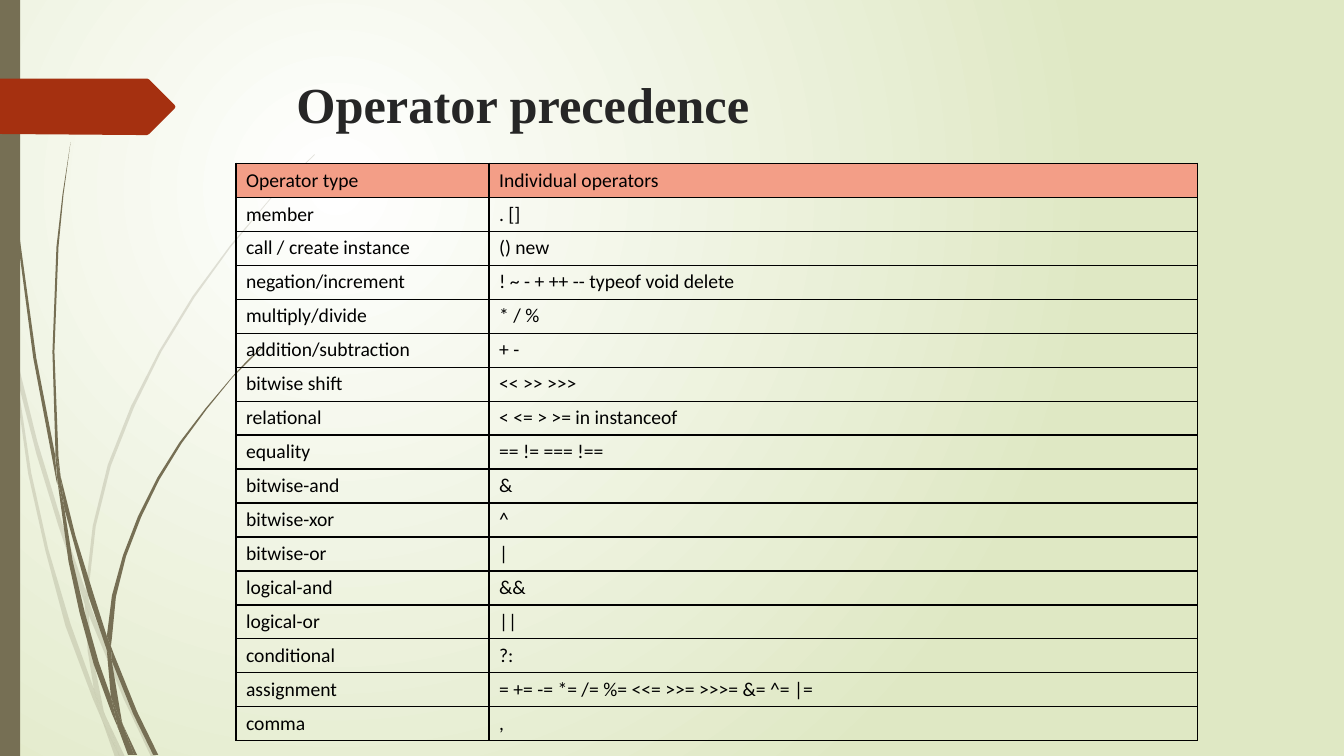
from lxml import etree
from pptx import Presentation
from pptx.dml.color import RGBColor
from pptx.enum import shapes, text
from pptx.oxml import ns
from pptx import util as u

WIDTH, HEIGHT = 13.33, 7.5
INK, OLIVE, RUST, SALMON = "000000", "766F54", "A53010", "F39E87"
TITLE = "Operator precedence"
TITLE_BOX = (2.84, 0.68, 9.75, 1.4)
TABLE_BOX = (2.34, 1.62, 9.54, 5.67)
COLUMN_WIDTHS = (2.51, 7.03)

OPERATORS = [
    ("Operator type", "Individual operators"),
    ("member", ". []"),
    ("call / create instance", "() new"),
    ("negation/increment", "! ~ - + ++ -- typeof void delete"),
    ("multiply/divide", "* / %"),
    ("addition/subtraction", "+ -"),
    ("bitwise shift", "<< >> >>>"),
    ("relational", "< <= > >= in instanceof"),
    ("equality", "== != === !=="),
    ("bitwise-and", "&"),
    ("bitwise-xor", "^"),
    ("bitwise-or", "|"),
    ("logical-and", "&&"),
    ("logical-or", "||"),
    ("conditional", "?:"),
    ("assignment", "= += -= *= /= %= <<= >>= >>>= &= ^= |="),
    ("comma", ","),
]

# Grass blades: outline points in inches, one blade section per tuple
FAINT_GRASS = [
    ((0.11, 3.5), (0.09, 3.22), (0, 2.82), (0, 2.99), (0.1, 3.44)),
    ((0.58, 5.22), (0.84, 5.99), (0.85, 5.86), (0.62, 5.2), (0.37, 4.38), (0.14, 3.45),
     (0.17, 3.76), (0.36, 4.5)),
    ((0.92, 6.07), (0.88, 5.96), (0.88, 6.1), (1.23, 6.94), (1.5, 7.51), (1.55, 7.51),
     (1.27, 6.92)),
    ((1.19, 7.51), (1.24, 7.51), (1.05, 7.11)),
    ((0.93, 6.83), (0.7, 6.19), (0.48, 5.45), (0.31, 4.69), (0.17, 3.76), (0.11, 3.5),
     (0.28, 4.7), (0.45, 5.46), (0.65, 6.21), (0.92, 6.93), (1.01, 7.14), (0.99, 7.07)),
    ((0.84, 5.99), (0.87, 6.46), (0.93, 6.83), (0.96, 6.92), (1.05, 7.11), (1.03, 7.06),
     (0.91, 6.46), (0.88, 6.1), (0.88, 6.08)),
    ((0.88, 5.84), (0.95, 5.22), (1.1, 4.62), (1.33, 4.04), (1.6, 3.49), (1.93, 2.95),
     (2.29, 2.45), (2.68, 1.98), (2.9, 1.75), (3.12, 1.54), (3.12, 1.53), (2.89, 1.75),
     (2.68, 1.97), (2.28, 2.44), (1.91, 2.94), (1.58, 3.48), (1.3, 4.03), (1.07, 4.61),
     (0.92, 5.22), (0.85, 5.84), (0.85, 5.86), (0.88, 5.96)),
    ((1.01, 7.14), (1.14, 7.51), (1.19, 7.51)),
    ((0.88, 6.08), (0.88, 6.1), (0.88, 5.96), (0.85, 5.86), (0.84, 5.99)),
    ((0.96, 6.92), (0.93, 6.83), (0.99, 7.07), (1.01, 7.14), (1.19, 7.51), (1.05, 7.11)),
]
SOLID_GRASS = [
    ((0.07, 1.1), (0.17, 2.33), (0.33, 3.55), (0.56, 4.77), (0.57, 4.81), (0.55, 4.57),
     (0.55, 4.53), (0.36, 3.55), (0.19, 2.32), (0.08, 1.09), (0.05, 0.48), (0.03, 0),
     (0.03, 0.48)),
    ((0.88, 5.92), (1.06, 6.45), (1.06, 6.31), (0.93, 5.9), (0.75, 5.32), (0.6, 4.72),
     (0.64, 5.05)),
    ((1.13, 6.49), (1.1, 6.41), (1.11, 6.56), (1.32, 7.08), (1.52, 7.49), (1.57, 7.49),
     (1.36, 7.06)),
    ((1.1, 6.91), (0.98, 6.57), (0.84, 6.07), (0.72, 5.56), (0.64, 5.05), (0.57, 4.77),
     (0.68, 5.57), (0.79, 6.08), (0.93, 6.59), (1.11, 7.08), (1.17, 7.22), (1.16, 7.17)),
    ((0.6, 4.72), (0.58, 4.53), (0.54, 3.49), (0.58, 2.45), (0.63, 1.93), (0.7, 1.41),
     (0.62, 1.93), (0.56, 2.45), (0.52, 3.49), (0.55, 4.49)),
    ((1.33, 7.49), (1.36, 7.49), (1.22, 7.19)),
    ((0.57, 4.77), (0.64, 5.05), (0.6, 4.72), (0.55, 4.49), (0.55, 4.53)),
    ((1.11, 6.33), (1.15, 5.92), (1.25, 5.52), (1.4, 5.13), (1.58, 4.76), (1.8, 4.4),
     (2.05, 4.06), (2.31, 3.74), (2.46, 3.59), (2.61, 3.44), (2.6, 3.44), (2.45, 3.58),
     (2.31, 3.73), (2.04, 4.05), (1.78, 4.39), (1.56, 4.74), (1.37, 5.12), (1.22, 5.51),
     (1.11, 5.91), (1.06, 6.31), (1.1, 6.41)),
    ((1.17, 7.22), (1.27, 7.49), (1.31, 7.49)),
    ((1.06, 6.45), (1.1, 6.91), (1.16, 7.06), (1.22, 7.19), (1.21, 7.16), (1.11, 6.56),
     (1.09, 6.51)),
    ((1.06, 6.45), (1.11, 6.56), (1.1, 6.41), (1.06, 6.31)),
    ((1.16, 7.06), (1.1, 6.91), (1.16, 7.17), (1.17, 7.22), (1.3, 7.49), (1.33, 7.49),
     (1.22, 7.19)),
]
ARROW = ((1.73, 1.08), (1.48, 1.33), (1.46, 1.34), (1.36, 1.34), (-0.01, 1.33), (0, 0.78),
         (1.46, 0.78), (1.48, 0.79), (1.73, 1.04), (1.74, 1.06))


def color(hex_value):
    return RGBColor.from_string(hex_value)


def inches(values):
    return [u.Inches(value) for value in values]


def paint(shape, hex_value, opacity=100):
    shape.shadow.inherit = False
    shape.line.fill.background()
    shape.fill.solid()
    shape.fill.fore_color.rgb = color(hex_value)
    if opacity < 100:
        tint = shape.fill._xPr.find(".//" + ns.qn("a:srgbClr"))
        etree.SubElement(tint, ns.qn("a:alpha"), val=str(opacity * 1000))


def add_outline(slide, points, hex_value, opacity=100):
    start, *others = [inches(point) for point in points]
    builder = slide.shapes.build_freeform(*start)
    builder.add_line_segments(others, close=True)
    paint(builder.convert_to_shape(), hex_value, opacity)


def write(frame, content, *, font, size, hex_value, bold=False, anchor=None):
    frame.text = content
    frame.word_wrap = True
    if anchor is not None:
        frame.vertical_anchor = anchor
    paragraph = frame.paragraphs[0]
    paragraph.alignment = text.PP_ALIGN.LEFT
    style = paragraph.runs[0].font
    style.name, style.size, style.bold = font, u.Pt(size), bold
    style.color.rgb = color(hex_value)


def add_borders(cell, hex_value, points):
    properties = cell._tc.get_or_add_tcPr()
    for position, side in enumerate(("lnL", "lnR", "lnT", "lnB")):
        line = etree.Element(ns.qn("a:" + side), w=str(u.Pt(points)))
        fill = etree.SubElement(line, ns.qn("a:solidFill"))
        etree.SubElement(fill, ns.qn("a:srgbClr"), val=hex_value)
        properties.insert(position, line)


def set_background(slide):
    fill = slide.background.fill
    fill.gradient()
    for stop, hex_value in zip(fill.gradient_stops, ("FFFFFF", "DFE8C4")):
        stop.color.rgb = color(hex_value)
    for stop, position in zip(fill.gradient_stops, (0, 1)):
        stop.position = position
    gradient = slide._element.find(".//" + ns.qn("a:gradFill"))
    gradient.remove(gradient.find(ns.qn("a:lin")))
    circle = etree.SubElement(gradient, ns.qn("a:path"), {"path": "circle"})
    etree.SubElement(circle, ns.qn("a:fillToRect"),
                     l="50000", t="50000", r="100000", b="100000")


def add_operator_table(slide):
    frame = slide.shapes.add_table(len(OPERATORS), len(COLUMN_WIDTHS), *inches(TABLE_BOX))
    table = frame.table
    table.horz_banding = table.first_row = False
    for column, width in zip(table.columns, COLUMN_WIDTHS):
        column.width = u.Inches(width)
    for row_number, row in enumerate(OPERATORS):
        for column_number, content in enumerate(row):
            cell = table.cell(row_number, column_number)
            write(cell.text_frame, content, font="Calibri", size=14, hex_value=INK)
            cell.vertical_anchor = text.MSO_ANCHOR.MIDDLE
            if row_number == 0:
                cell.fill.solid()
                cell.fill.fore_color.rgb = color(SALMON)
            else:
                cell.fill.background()
            add_borders(cell, INK, 1)


def main():
    presentation = Presentation()
    presentation.slide_width, presentation.slide_height = inches((WIDTH, HEIGHT))
    slide = presentation.slides.add_slide(presentation.slide_layouts[5])
    set_background(slide)

    # Grass, side bar and arrow
    for sections, opacity in ((FAINT_GRASS, 20), (SOLID_GRASS, 100)):
        for points in sections:
            add_outline(slide, points, OLIVE, opacity)
    side_bar = slide.shapes.add_shape(shapes.MSO_SHAPE.RECTANGLE, *inches((0, 0, 0.2, HEIGHT)))
    paint(side_bar, OLIVE)
    add_outline(slide, ARROW, RUST)

    # Title and table
    title = slide.shapes.title
    title.left, title.top, title.width, title.height = inches(TITLE_BOX)
    write(title.text_frame, TITLE, font="Times New Roman", size=36, hex_value="262626",
          bold=True, anchor=text.MSO_ANCHOR.TOP)
    add_operator_table(slide)
    presentation.save("out.pptx")


if __name__ == "__main__":
    main()
